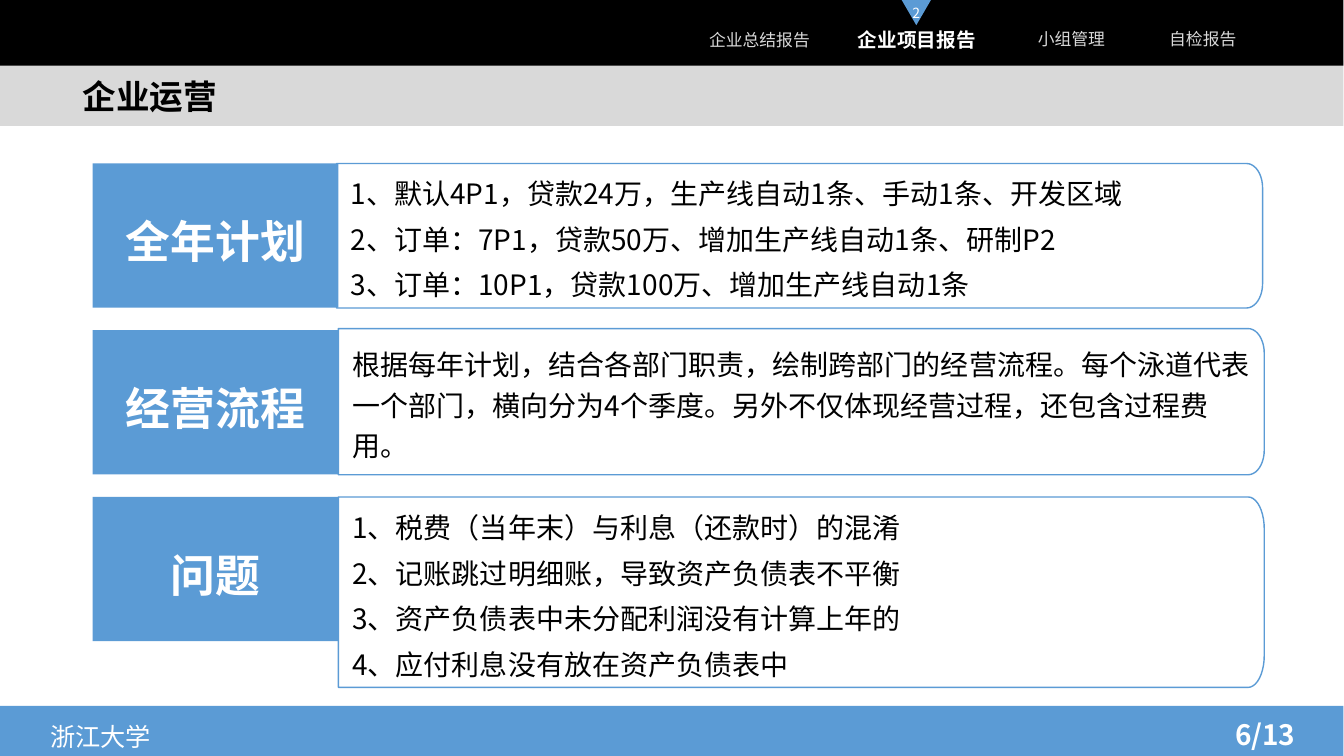
from math import cos, pi, sin

from lxml import etree
from pptx import Presentation
from pptx.dml.color import RGBColor
from pptx.enum.shapes import MSO_SHAPE
from pptx.enum.text import MSO_ANCHOR, MSO_AUTO_SIZE, PP_ALIGN
from pptx.oxml.ns import qn
from pptx.util import Pt

RECTANGLE = MSO_SHAPE.RECTANGLE
TOP, MIDDLE = MSO_ANCHOR.TOP, MSO_ANCHOR.MIDDLE
LEFT, CENTER = PP_ALIGN.LEFT, PP_ALIGN.CENTER
NO_AUTOFIT = MSO_AUTO_SIZE.NONE

FONT = "Noto Sans CJK SC"
COLORS = {"blue": "5B9BD5", "black": "000000", "white": "FFFFFF", "gray": "D9D9D9"}
SLIDE_WIDTH, SLIDE_HEIGHT = 960.5, 540
BAND_WIDTH = 960

TABS = [
    ("企业总结报告", 494.6, 13.7, 96.5, 29.5, False),
    ("企业项目报告", 594.7, 11.5, 121, 33.8, True),
    ("小组管理", 713.5, 10.8, 104.4, 33.8, False),
    ("自检报告", 820, 10.8, 79.2, 33.8, False),
]
SECTIONS = [
    ("全年计划", 240.6, 116.8, 103.2, [
        "1、默认4P1，贷款24万，生产线自动1条、手动1条、开发区域",
        "2、订单：7P1，贷款50万、增加生产线自动1条、研制P2",
        "3、订单：10P1，贷款100万、增加生产线自动1条",
    ]),
    ("经营流程", 241.8, 234.7, 104.4, [
        "根据每年计划，结合各部门职责，绘制跨部门的经营流程。每个泳道代表一个部门，"
        "横向分为4个季度。另外不仅体现经营过程，还包含过程费用。",
    ]),
    ("问题", 241.8, 355, 136, [
        "1、税费（当年末）与利息（还款时）的混淆",
        "2、记账跳过明细账，导致资产负债表不平衡",
        "3、资产负债表中未分配利润没有计算上年的",
        "4、应付利息没有放在资产负债表中",
    ]),
]
LABEL_TOP, LABEL_PITCH = 116.8, 119.1
CARD_WIDTH, CORNER_WIDTH, CORNER_STEPS = 661.7, 11.5, 10


def color(name):
    return RGBColor.from_string(COLORS[name])


def write(shape, lines, size, ink="white", bold=False, align=LEFT, anchor=MIDDLE,
          spacing=1.0, after=0, insets=(7.2, 3.6, 7.2, 3.6)):
    frame = shape.text_frame
    frame.auto_size = NO_AUTOFIT
    frame.word_wrap = True
    frame.vertical_anchor = anchor
    (frame.margin_left, frame.margin_top,
     frame.margin_right, frame.margin_bottom) = map(Pt, insets)
    for index, line in enumerate(lines):
        paragraph = frame.paragraphs[0] if index == 0 else frame.add_paragraph()
        paragraph.alignment = align
        paragraph.line_spacing = spacing
        paragraph.space_after = Pt(after)
        paragraph._p.get_or_add_pPr().set("hangingPunct", "0")
        run = paragraph.add_run()
        run.text = line
        run.font.name = FONT
        run.font.size = Pt(size)
        run.font.bold = bold
        run.font.color.rgb = color(ink)
        etree.SubElement(run._r.get_or_add_rPr(), qn("a:ea"), typeface=FONT)


def add_caption(slide, text, left, top, width, height, **text_format):
    caption = slide.shapes.add_textbox(Pt(left), Pt(top), Pt(width), Pt(height))
    write(caption, [text], **text_format)


def add_block(slide, left, top, width, height, fill):
    block = slide.shapes.add_shape(RECTANGLE, Pt(left), Pt(top), Pt(width), Pt(height))
    block.shadow.inherit = False
    block.fill.solid()
    block.fill.fore_color.rgb = color(fill)
    block.line.fill.background()
    return block


def add_outline(slide, points):
    start, *rest = [(Pt(x), Pt(y)) for x, y in points]
    builder = slide.shapes.build_freeform(*start)
    builder.add_line_segments(rest, close=True)
    outline = builder.convert_to_shape()
    outline.shadow.inherit = False
    return outline


def add_marker(slide, left, width, height, number):
    marker = add_outline(slide, [(left, 0), (left + width, 0), (left + width / 2, height)])
    marker.fill.solid()
    marker.fill.fore_color.rgb = color("blue")
    marker.line.fill.background()
    write(marker, [number], size=10, align=CENTER, insets=(0, 0, 0, 0))


def add_card(slide, left, top, height, lines):
    right, bottom = left + CARD_WIDTH, top + height
    corner_height = height / 6
    angles = [step * pi / 2 / CORNER_STEPS for step in range(CORNER_STEPS + 1)]
    upper = [(right - CORNER_WIDTH * (1 - sin(a)), top + corner_height * (1 - cos(a)))
             for a in angles]
    lower = [(x, top + bottom - y) for x, y in reversed(upper)]
    card = add_outline(slide, [(left, top), *upper, *lower, (left, bottom)])
    card.fill.background()
    card.line.color.rgb = color("blue")
    card.line.width = Pt(1)
    write(card, lines, size=20, ink="black", spacing=1.2, after=3.7,
          insets=(10, 4.4, 4.4, 4.4))


def add_title(slide, text):
    title = slide.shapes.title
    title.left, title.top, title.width, title.height = map(Pt, (51.8, 53.3, 306, 33.8))
    write(title, [text], size=24, ink="black", bold=True, spacing=0.9)
    title.element.getparent().append(title.element)


def main():
    deck = Presentation()
    deck.slide_width, deck.slide_height = Pt(SLIDE_WIDTH), Pt(SLIDE_HEIGHT)
    slide = deck.slides.add_slide(deck.slide_layouts[5])

    add_block(slide, 0, 43.2, BAND_WIDTH, 46.8, "gray")
    add_block(slide, 0, 0, BAND_WIDTH, 47, "black")
    for text, left, top, width, height, current in TABS:
        add_caption(slide, text, left, top, width, height, size=14 if current else 12,
                    ink="white" if current else "gray", bold=current, align=CENTER)
    add_marker(slide, 644.4, 20.9, 18, "2")
    add_block(slide, 0, 504.3, BAND_WIDTH, 38.9, "blue")
    add_caption(slide, "浙江大学", 28.8, 507.6, 136.8, 33, size=18, anchor=TOP, spacing=1.2)
    add_title(slide, "企业运营")

    for index, (heading, left, top, height, lines) in enumerate(SECTIONS):
        label = add_block(slide, 66.2, LABEL_TOP + index * LABEL_PITCH, 175.7, 103, "blue")
        write(label, [heading], size=32, bold=True, align=CENTER, spacing=1.2)
        add_card(slide, left, top, height, lines)

    add_caption(slide, "6/13", 875.5, 509, 82.8, 31.7, size=20, bold=True, anchor=TOP)
    deck.save("out.pptx")


if __name__ == "__main__":
    main()
